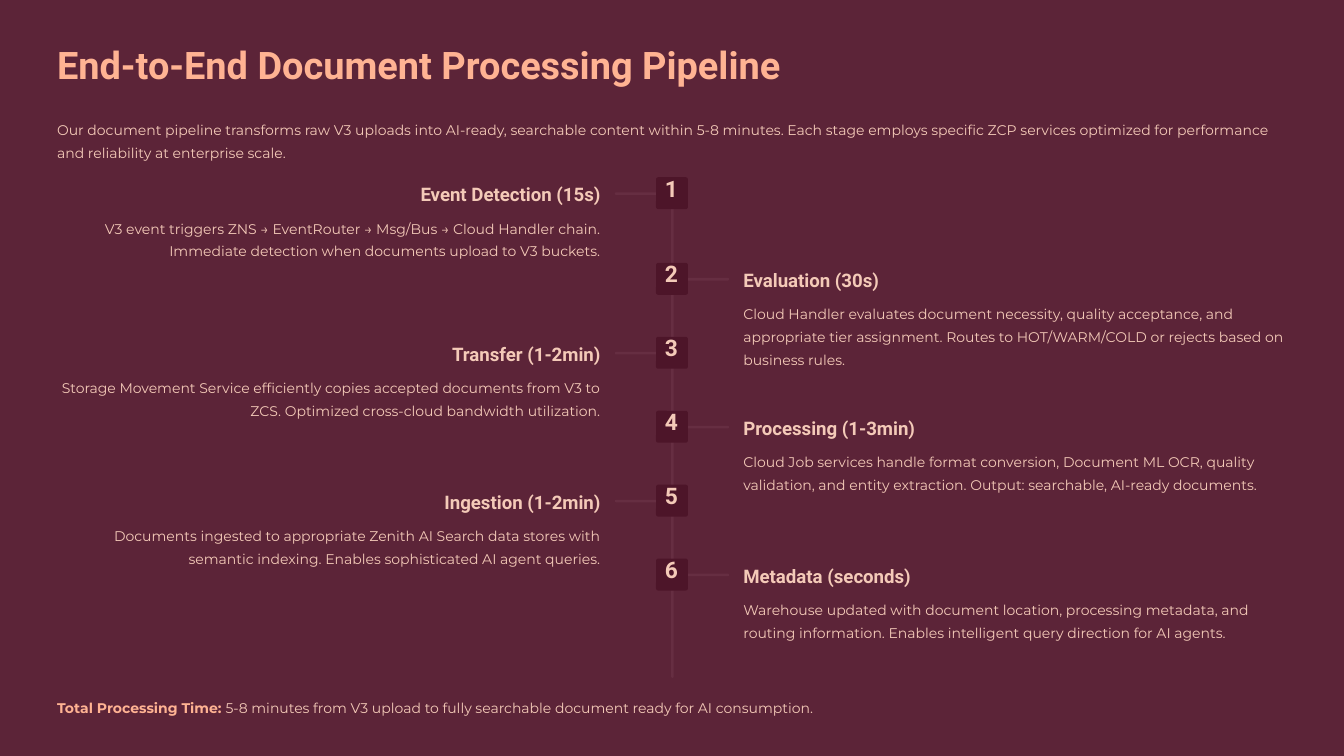
from pptx import Presentation
from pptx.dml.color import RGBColor
from pptx.enum.shapes import MSO_SHAPE
from pptx.enum.text import PP_ALIGN
from pptx.util import Inches, Pt

ROUND_RECT = MSO_SHAPE.ROUNDED_RECTANGLE
LEFT, CENTER, RIGHT = PP_ALIGN.LEFT, PP_ALIGN.CENTER, PP_ALIGN.RIGHT

HEADING_FONT, BODY_FONT = "Roboto", "Montserrat"
BACKGROUND, RAIL, BADGE = "5C2438", "662E42", "4D1529"
ACCENT, TEXT = "FFB393", "F4CAB8"

MARGIN = 0.68
FULL_WIDTH = 14.64
COLUMN_WIDTH = 6.47
RIGHT_COLUMN = 8.85
THICKNESS = 0.03
BADGE_SIZE = 0.38
FIRST_TOP, SECOND_TOP, STAGE_STEP = 2.11, 3.13, 0.88

STAGES = [
    ("Event Detection (15s)",
     "V3 event triggers ZNS → EventRouter → Msg/Bus → Cloud Handler chain. "
     "Immediate detection when documents upload to V3 buckets."),
    ("Evaluation (30s)",
     "Cloud Handler evaluates document necessity, quality acceptance, and "
     "appropriate tier assignment. Routes to HOT/WARM/COLD or rejects based "
     "on business rules."),
    ("Transfer (1-2min)",
     "Storage Movement Service efficiently copies accepted documents from V3 "
     "to ZCS. Optimized cross-cloud bandwidth utilization."),
    ("Processing (1-3min)",
     "Cloud Job services handle format conversion, Document ML OCR, quality "
     "validation, and entity extraction. Output: searchable, AI-ready "
     "documents."),
    ("Ingestion (1-2min)",
     "Documents ingested to appropriate Zenith AI Search data stores with "
     "semantic indexing. Enables sophisticated AI agent queries."),
    ("Metadata (seconds)",
     "Warehouse updated with document location, processing metadata, and "
     "routing information. Enables intelligent query direction for AI agents."),
]


def color(hex_value):
    return RGBColor.from_string(hex_value)


def add_block(slide, left, top, width, height, fill, rounding):
    block = slide.shapes.add_shape(
        ROUND_RECT, Inches(left), Inches(top), Inches(width), Inches(height))
    block.adjustments[0] = rounding
    block.fill.solid()
    block.fill.fore_color.rgb = color(fill)
    block.line.fill.background()
    block.shadow.inherit = False


def style_run(run, font_name, size, hex_value, bold):
    run.font.name = font_name
    run.font.size = Pt(size)
    run.font.bold = bold
    run.font.color.rgb = color(hex_value)


def add_text(slide, left, top, width, height, text, font_name=BODY_FONT,
             size=12, hex_value=TEXT, bold=False, align=LEFT, spacing=19.5):
    box = slide.shapes.add_textbox(
        Inches(left), Inches(top), Inches(width), Inches(height))
    frame = box.text_frame
    frame.word_wrap = True
    frame.margin_left = frame.margin_right = 0
    frame.margin_top = frame.margin_bottom = 0
    frame.text = text
    paragraph = frame.paragraphs[0]
    paragraph.alignment = align
    paragraph.line_spacing = Pt(spacing)
    style_run(paragraph.runs[0], font_name, size, hex_value, bold)
    return paragraph


def add_stage(slide, number, top, heading, description):
    on_left = number % 2 == 1
    column = MARGIN if on_left else RIGHT_COLUMN
    align = RIGHT if on_left else LEFT

    # Arm and numbered badge
    add_block(slide, 7.32 if on_left else 8.17, top + 0.18, 0.51, THICKNESS,
              RAIL, 0.5)
    add_block(slide, 7.81, top, BADGE_SIZE, BADGE_SIZE, BADGE, 0.07)
    add_text(slide, 7.86, top + 0.02, 0.27, 0.34, str(number), HEADING_FONT,
             19.5, bold=True, align=CENTER)

    # Heading and description
    add_text(slide, column, top + 0.06, COLUMN_WIDTH, 0.28, heading,
             HEADING_FONT, 16, bold=True, align=align, spacing=20)
    add_text(slide, column, top + 0.44, COLUMN_WIDTH, 0.82, description,
             align=align)


def main():
    prs = Presentation()
    prs.slide_width, prs.slide_height = Inches(16), Inches(9)
    slide = prs.slides.add_slide(prs.slide_layouts[6])
    slide.background.fill.solid()
    slide.background.fill.fore_color.rgb = color(BACKGROUND)

    # Title and introduction
    add_text(slide, MARGIN, 0.47, FULL_WIDTH, 0.57,
             "End-to-End Document Processing Pipeline", HEADING_FONT, 32.5,
             ACCENT, bold=True, spacing=40.5)
    add_text(slide, MARGIN, 1.38, FULL_WIDTH, 0.54,
             "Our document pipeline transforms raw V3 uploads into AI-ready, "
             "searchable content within 5-8 minutes. Each stage employs "
             "specific ZCP services optimized for performance and reliability "
             "at enterprise scale.")

    # Timeline: the stages alternate between left and right
    add_block(slide, 7.99, FIRST_TOP, THICKNESS, 5.96, RAIL, 0.5)
    tops = [FIRST_TOP] + [SECOND_TOP + STAGE_STEP * step
                          for step in range(len(STAGES) - 1)]
    for number, (top, stage) in enumerate(zip(tops, STAGES), start=1):
        add_stage(slide, number, top, *stage)

    # Total time
    total = add_text(slide, MARGIN, 8.26, FULL_WIDTH, 0.27,
                     "Total Processing Time:", hex_value=ACCENT, bold=True)
    summary = total.add_run()
    summary.text = (" 5-8 minutes from V3 upload to fully searchable document "
                    "ready for AI consumption.")
    style_run(summary, BODY_FONT, 12, TEXT, False)

    prs.save("out.pptx")


if __name__ == "__main__":
    main()
